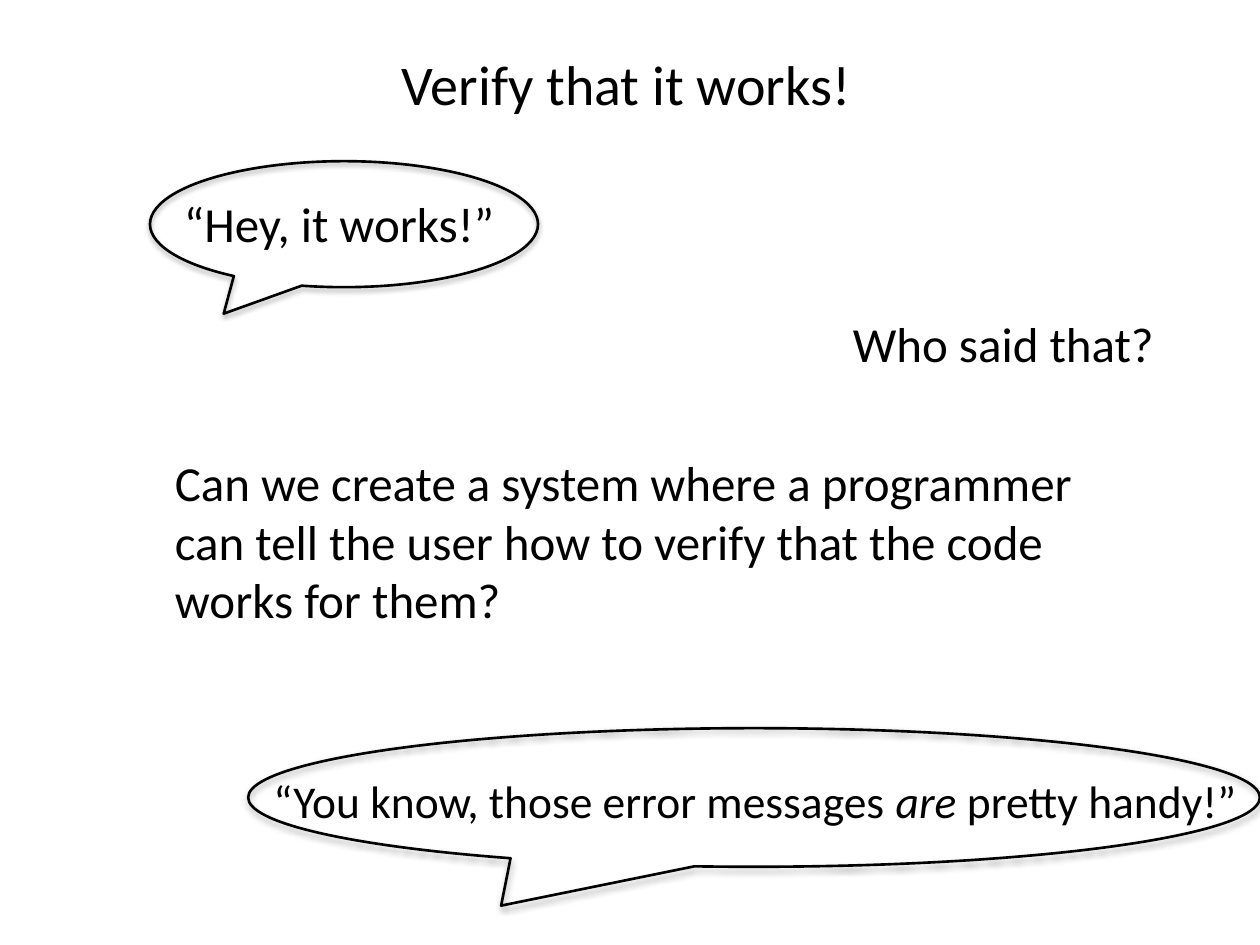
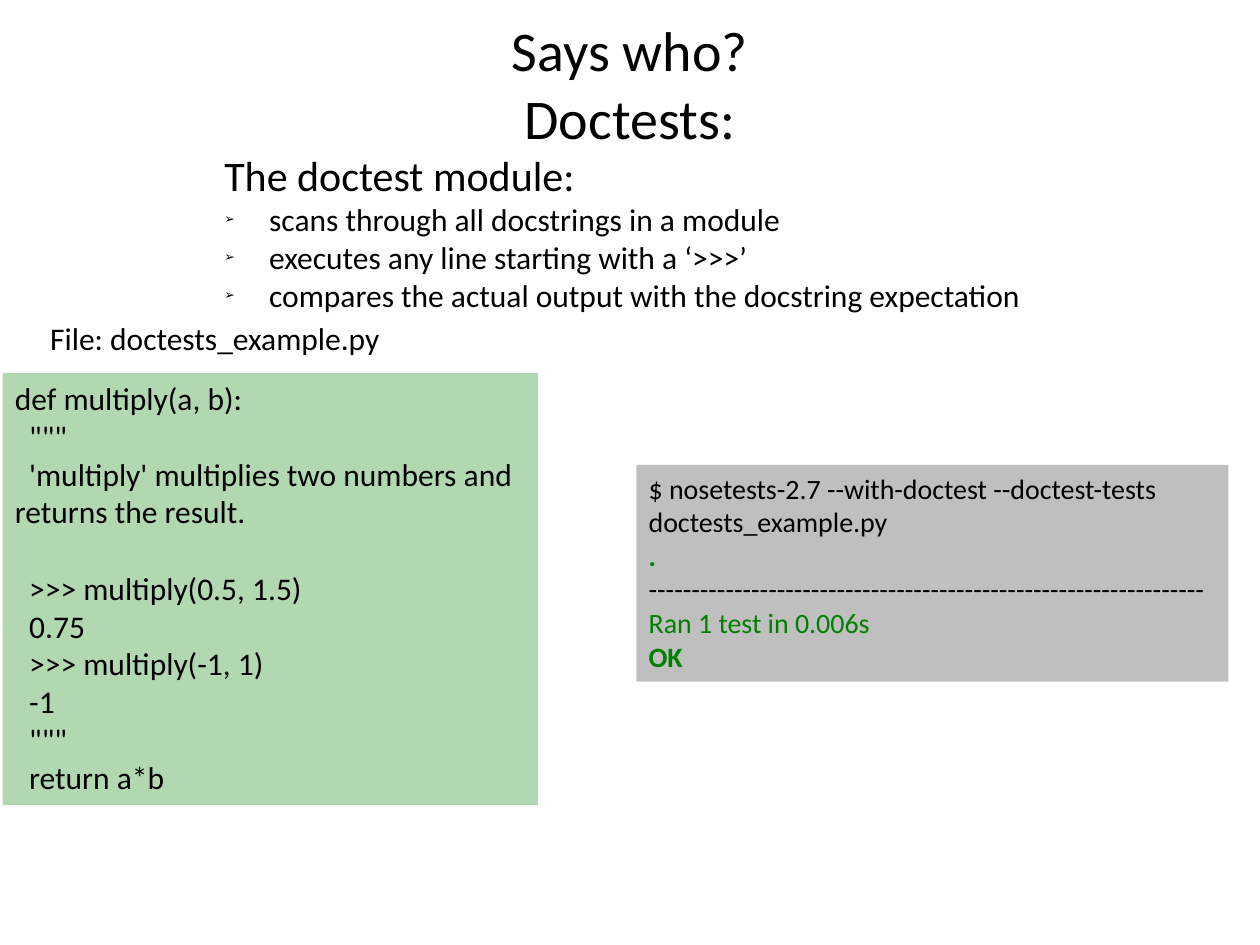
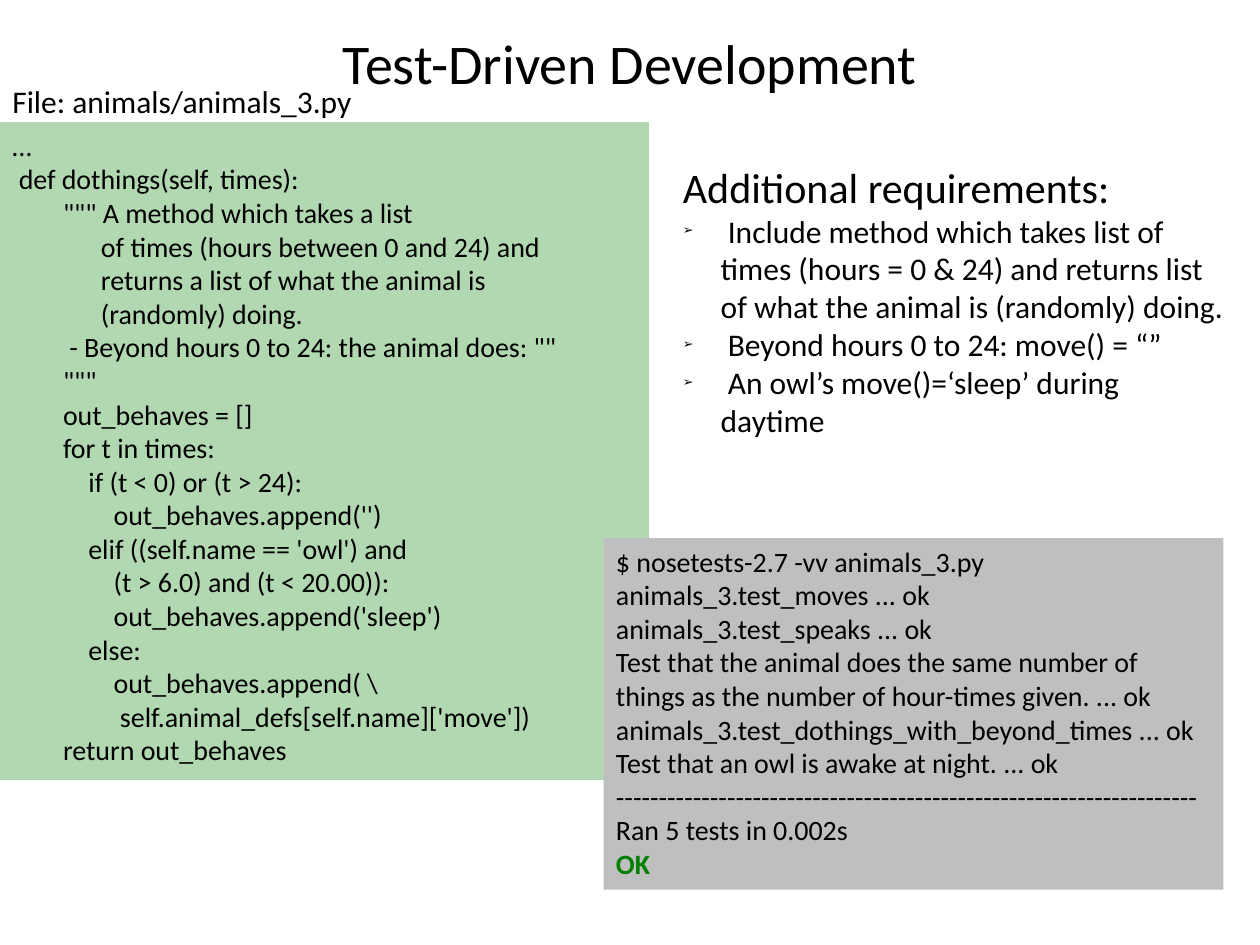
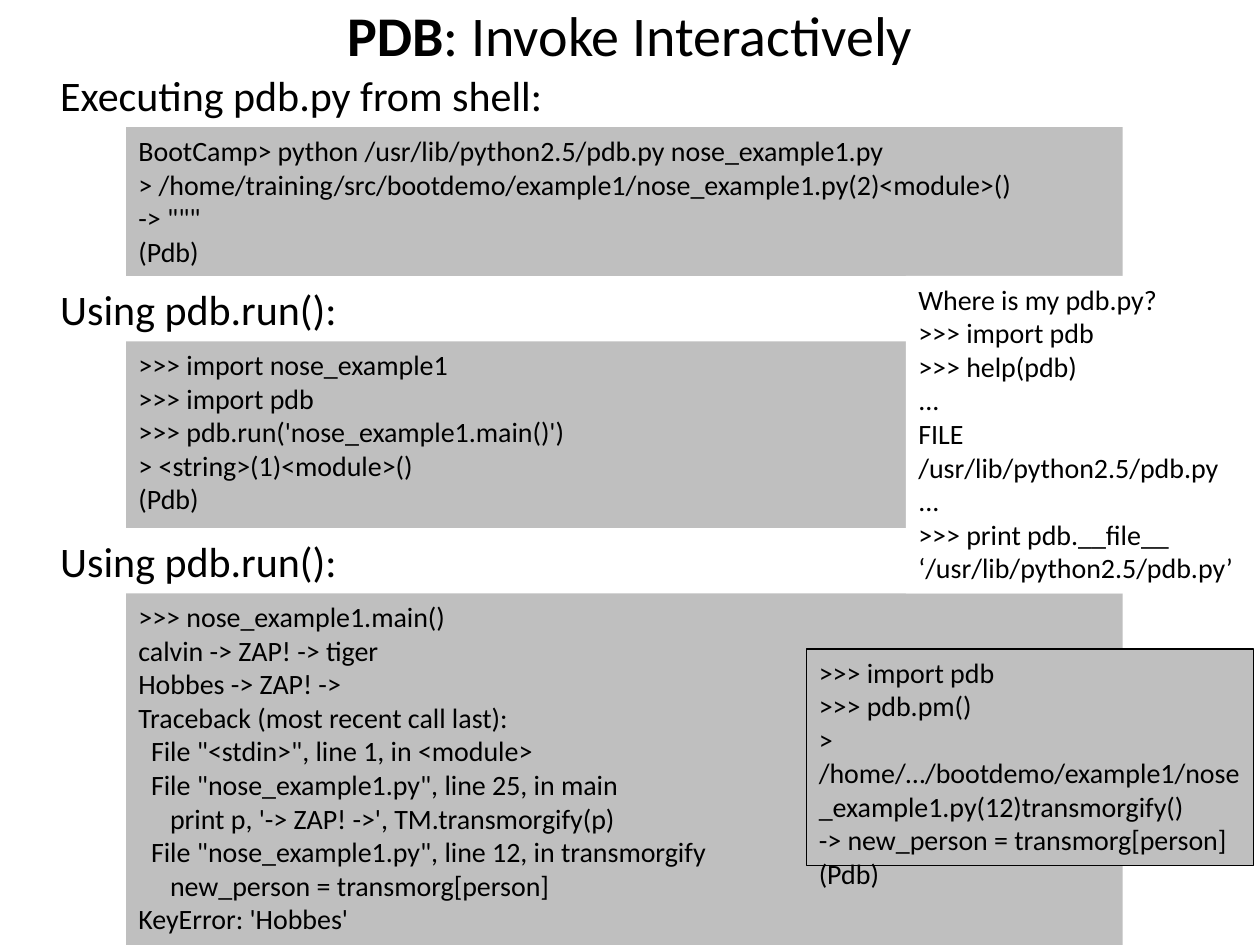
from dataclasses import dataclass

from lxml import etree
from pptx import Presentation
from pptx import util as u
from pptx.dml.color import RGBColor
from pptx.enum import shapes, text
from pptx.oxml import ns


@dataclass(frozen=True)
class Theme:
    font: str = "Calibri"
    ink: str = "000000"
    paper: str = "FFFFFF"
    green: str = "008000"
    grey: str = "BFBFBF"
    title: int = 32
    speech: int = 28
    heading: int = 24
    body: int = 18
    console: int = 16
    line_height: float = 1.22
    space_width: float = 0.226
    bullet_indent: float = 0.3
    inset: tuple = (0.1, 0.05)


THEME = Theme()
GREEN = {"color": THEME.green}
GREEN_BOLD = {"color": THEME.green, "bold": True}
LEFT, CENTER = text.PP_ALIGN.LEFT, text.PP_ALIGN.CENTER
TOP, MIDDLE = text.MSO_ANCHOR.TOP, text.MSO_ANCHOR.MIDDLE

MULTIPLY_CODE = '''def multiply(a, b):
  """
  'multiply' multiplies two numbers and returns the result.

  >>> multiply(0.5, 1.5)
  0.75
  >>> multiply(-1, 1)
  -1
  """
  return a*b'''.splitlines()

MULTIPLY_OUTPUT = [
    "$ nosetests-2.7 --with-doctest --doctest-tests doctests_example.py",
    ".",
    "-" * 65,
    "Ran 1 test in 0.006s",
    "OK",
]

ANIMALS_CODE = r'''…
 def dothings(self, times):
        """ A method which takes a list
              of times (hours between 0 and 24) and
              returns a list of what the animal is
              (randomly) doing.
         - Beyond hours 0 to 24: the animal does: ""
        """
        out_behaves = []
        for t in times:
            if (t < 0) or (t > 24):
                out_behaves.append('')
            elif ((self.name == 'owl') and
                (t > 6.0) and (t < 20.00)):
                out_behaves.append('sleep')
            else:
                out_behaves.append( \
                 self.animal_defs[self.name]['move'])
        return out_behaves'''.splitlines()

ANIMALS_OUTPUT = [
    "$ nosetests-2.7 -vv animals_3.py",
    "animals_3.test_moves ... ok",
    "animals_3.test_speaks ... ok",
    "Test that the animal does the same number of things as the number of hour-times given. ... ok",
    "animals_3.test_dothings_with_beyond_times ... ok",
    "Test that an owl is awake at night. ... ok",
    "-" * 68,
    "Ran 5 tests in 0.002s",
    "OK",
]

SHELL_SESSION = '''BootCamp> python /usr/lib/python2.5/pdb.py nose_example1.py
> /home/training/src/bootdemo/example1/nose_example1.py(2)<module>()
-> """
(Pdb)'''.splitlines()

RUN_SESSION = """>>> import nose_example1
>>> import pdb
>>> pdb.run('nose_example1.main()')
> <string>(1)<module>()
(Pdb)""".splitlines()

TRACEBACK_SESSION = """>>> nose_example1.main()
calvin -> ZAP! -> tiger
Hobbes -> ZAP! ->
Traceback (most recent call last):
  File "<stdin>", line 1, in <module>
  File "nose_example1.py", line 25, in main
     print p, '-> ZAP! ->', TM.transmorgify(p)
  File "nose_example1.py", line 12, in transmorgify
     new_person = transmorg[person]
KeyError: 'Hobbes'""".splitlines()

POST_MORTEM_SESSION = """>>> import pdb
>>> pdb.pm()
> /home/…/bootdemo/example1/nose_example1.py(12)transmorgify()
-> new_person = transmorg[person]
(Pdb)""".splitlines()

WHERE_IS_PDB = """Where is my pdb.py?
>>> import pdb
>>> help(pdb)
...
FILE
/usr/lib/python2.5/pdb.py
...
>>> print pdb.__file__
‘/usr/lib/python2.5/pdb.py’""".splitlines()


def inches(box):
    return [u.Inches(length) for length in box]


def add_xml(parent, tag, **attributes):
    return etree.SubElement(parent, ns.qn(tag), attributes)


def set_frame(frame, inset=THEME.inset, anchor=TOP):
    side, end = inches(inset)
    values = {
        "word_wrap": True, "auto_size": text.MSO_AUTO_SIZE.NONE,
        "vertical_anchor": anchor, "margin_left": side, "margin_right": side,
        "margin_top": end, "margin_bottom": end,
    }
    for name, value in values.items():
        setattr(frame, name, value)


def add_span(para, words, size, color=THEME.ink, **emphasis):
    span = para.add_run()
    span.text = words
    span.font.color.rgb = RGBColor.from_string(color)
    values = {"name": THEME.font, "size": u.Pt(size), "bold": False, "italic": False}
    for name, value in {**values, **emphasis}.items():
        setattr(span.font, name, value)


def next_para(frame):
    """Return the still empty first paragraph, or a new one."""
    first = frame.paragraphs[0]
    para = frame.add_paragraph() if first.runs else first
    para.space_before = u.Pt(0)
    return para


def write_lines(frame, lines, size, align=LEFT, highlights=None):
    """Write lines of text or of (words, emphasis) spans.

    Leading spaces become a first-line indent, a blank line becomes space before.
    """
    gap = 0
    for line in lines:
        if not line:
            gap += size * THEME.line_height
            continue
        para = next_para(frame)
        para.alignment = align
        if gap:
            para.space_before = u.Pt(gap)
            gap = 0
        if isinstance(line, str):
            words = line.lstrip(" ")
            depth = len(line) - len(words)
            if depth:
                indent = u.Pt(depth * size * THEME.space_width)
                para._p.get_or_add_pPr().set("indent", str(indent))
            line = [(words, (highlights or {}).get(words, {}))]
        for words, emphasis in line:
            add_span(para, words, size, **emphasis)


def place(shape, box):
    for name, value in zip(("left", "top", "width", "height"), inches(box)):
        setattr(shape, name, value)


def add_title(page, box, lines, align=CENTER):
    title = page.shapes.title
    place(title, box)
    set_frame(title.text_frame, (0, 0), MIDDLE)
    write_lines(title.text_frame, lines, THEME.title, align)


def add_label(page, box, line, size, inset=THEME.inset, anchor=TOP):
    frame = page.shapes.add_textbox(*inches(box)).text_frame
    set_frame(frame, inset, anchor)
    write_lines(frame, [line], size)


def add_bullets(page, box, heading, items):
    body = page.placeholders[1]
    place(body, box)
    frame = body.text_frame
    set_frame(frame)
    para = next_para(frame)
    add_span(para, heading, THEME.heading)
    properties = para._p.get_or_add_pPr()
    properties.set("marL", "0")
    properties.set("indent", "0")
    add_xml(properties, "a:buNone")
    indent = u.Inches(THEME.bullet_indent)
    for item in items:
        para = next_para(frame)
        add_span(para, " " + item, THEME.body)
        properties = para._p.get_or_add_pPr()
        properties.set("marL", str(indent))
        properties.set("indent", str(-indent))
        add_xml(properties, "a:buSzPct", val="40000")
        add_xml(properties, "a:buChar", char="➢")


def add_panel(page, box, lines, size=THEME.console, fill=THEME.grey, alpha=None,
              outlined=False, highlights=None):
    panel = page.shapes.add_shape(shapes.MSO_SHAPE.RECTANGLE, *inches(box))
    panel.shadow.inherit = False
    panel.fill.solid()
    panel.fill.fore_color.rgb = RGBColor.from_string(fill)
    if alpha:
        color = panel._element.spPr.find(".//" + ns.qn("a:srgbClr"))
        add_xml(color, "a:alpha", val=str(alpha * 1000))
    if outlined:
        panel.line.color.rgb = RGBColor.from_string(THEME.ink)
        panel.line.width = u.Pt(0.75)
    else:
        panel.line.fill.background()
    set_frame(panel.text_frame)
    write_lines(panel.text_frame, lines, size, highlights=highlights)


def add_code(page, box, lines, size):
    add_panel(page, box, lines, size, THEME.green, alpha=30)


def add_callout(page, box, words_box, line, size, tail):
    """Draw a speech bubble; words_box is relative to the bubble's corner."""
    left, top, width, height = words_box
    add_label(page, (box[0] + left, box[1] + top, width, height), line, size, (0, 0), MIDDLE)
    bubble = page.shapes.add_shape(shapes.MSO_SHAPE.OVAL_CALLOUT, *inches(box))
    for index, value in enumerate(tail):
        bubble.adjustments[index] = value
    bubble.fill.background()
    bubble.line.color.rgb = RGBColor.from_string(THEME.ink)
    bubble.line.width = u.Pt(1.5)
    bubble.shadow.inherit = False
    effects = bubble._element.spPr.find(ns.qn("a:effectLst"))
    shadow = add_xml(effects, "a:outerShdw", blurRad=str(u.Pt(3.1)), dist=str(u.Pt(1.8)),
                     dir="5400000", rotWithShape="0")
    color = add_xml(shadow, "a:srgbClr", val=THEME.ink)
    add_xml(color, "a:alpha", val="35000")


def add_session(page, box, heading, lines):
    """Place a heading with an indented console panel below it."""
    left, top, width, height = box
    indent, drop = 0.62, 0.51
    add_label(page, (left, top, width, drop), heading, THEME.heading)
    add_panel(page, (left + indent, top + drop, 7.91, height - drop), lines)


def verify_slide(page):
    add_title(page, (3.19, 0.39, 3.63, 0.54), ["Verify that it works!"], LEFT)
    add_callout(page, (1.19, 1.28, 3.08, 1), (0.27, 0.15, 2.77, 0.68),
                "“Hey, it works!”", THEME.speech, (-0.31, 0.71))
    add_label(page, (6.67, 2.44, 2.62, 0.57), "Who said that?", THEME.speech)
    add_label(page, (1.29, 3.54, 7.42, 1.51),
              "Can we create a system where a programmer can tell the user "
              "how to verify that the code works for them?", THEME.speech)
    praise = [("“You know, those error messages ", {}), ("are", {"italic": True}),
              (" pretty handy!”", {})]
    add_callout(page, (1.97, 5.78, 8.03, 1.1), (0.2, 0.3, 7.8, 0.54),
                praise, 26, (-0.25, 0.78))


def doctest_slide(page):
    add_title(page, (4.05, 0.12, 1.9, 1.08), ["Says who?", "Doctests:"])
    add_bullets(page, (1.68, 1.14, 6.64, 1.41), "The doctest module:", [
        "scans through all docstrings in a module",
        "executes any line starting with a ‘>>>’",
        "compares the actual output with the docstring expectation",
    ])
    add_panel(page, (5.05, 3.69, 4.7, 1.72), MULTIPLY_OUTPUT, highlights={
        ".": GREEN_BOLD, "Ran 1 test in 0.006s": GREEN, "OK": GREEN_BOLD})
    add_code(page, (0.02, 2.96, 4.25, 3.43), MULTIPLY_CODE, THEME.body)
    add_label(page, (0.3, 2.48, 2.96, 0.4), "File: doctests_example.py", THEME.body)


def development_slide(page):
    add_title(page, (2.01, 0.22, 5.98, 0.54), ["Test-Driven Development"])
    add_code(page, (0, 0.97, 5.15, 5.22), ANIMALS_CODE, THEME.console)
    add_label(page, (0, 0.6, 2.96, 0.4), "File: animals/animals_3.py", THEME.body)
    add_bullets(page, (5.32, 1.23, 4.54, 2.32), "Additional requirements:", [
        "Include method which takes list of times (hours = 0 & 24) "
        "and returns list of what the animal is (randomly) doing.",
        "Beyond hours 0 to 24: move() = “”",
        "An owl’s move()=‘sleep’ during daytime",
    ])
    add_panel(page, (4.79, 4.27, 4.92, 2.79), ANIMALS_OUTPUT, highlights={"OK": GREEN_BOLD})


def debugger_slide(page):
    add_title(page, (2.01, 0, 5.98, 0.54),
              [[("PDB", {"bold": True}), (": Invoke Interactively", {})]])
    sessions = [
        (0.5, 1.69, "Executing pdb.py from shell:", SHELL_SESSION),
        (2.2, 1.99, "Using pdb.run():", RUN_SESSION),
        (4.2, 3.3, "Using pdb.run():", TRACEBACK_SESSION),
    ]
    for top, height, heading, lines in sessions:
        add_session(page, (0.38, top, 9.07, height), heading, lines)
    add_panel(page, (6.4, 5.15, 3.55, 1.72), POST_MORTEM_SESSION, outlined=True)
    add_panel(page, (7.19, 2.19, 2.76, 2.52), WHERE_IS_PDB, fill=THEME.paper)


def main():
    deck = Presentation()
    deck.slide_width, deck.slide_height = inches((10, 7.5))
    title_and_body, title_only = deck.slide_layouts[1], deck.slide_layouts[5]
    for layout, build in (
        (title_only, verify_slide),
        (title_and_body, doctest_slide),
        (title_and_body, development_slide),
        (title_only, debugger_slide),
    ):
        build(deck.slides.add_slide(layout))
    deck.save("out.pptx")


if __name__ == "__main__":
    main()
